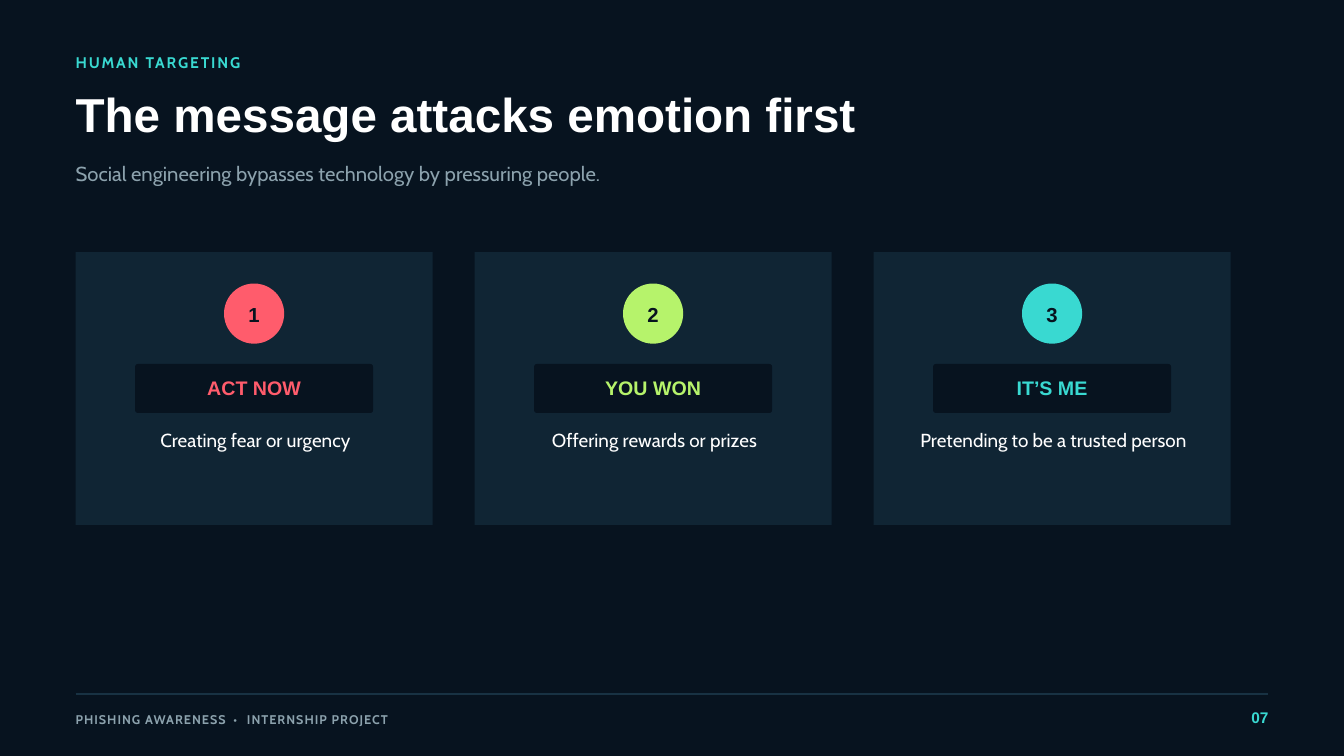
from dataclasses import dataclass

from pptx import Presentation
from pptx import util as u
from pptx.dml.color import RGBColor
from pptx.enum import shapes, text
from pptx.oxml.ns import qn
from lxml import etree


@dataclass(frozen=True)
class Theme:
    night: str = "07131F"
    panel: str = "102534"
    rule: str = "183243"
    white: str = "FFFFFF"
    muted: str = "8CA2AD"
    coral: str = "FF5C6C"
    lime: str = "B6F36B"
    teal: str = "39D9D1"
    heading: str = "Arial"
    body: str = "Cabin"
    title_size: float = 51
    lead_size: float = 21.75
    label_size: float = 21
    note_size: float = 20.25
    kicker_size: float = 16.5
    footer_size: float = 13.5


def write(frame, wording, *, size, color, leading, font, bold=False,
          align=text.PP_ALIGN.LEFT, tracking=0):
    spans = [(wording, tracking)] if isinstance(wording, str) else wording
    para = frame.paragraphs[0]
    para.alignment = align
    para.line_spacing = u.Pt(leading)
    for words, spacing in spans:
        span = para.add_run()
        span.text = words
        span.font.name = font
        span.font.size = u.Pt(size)
        span.font.bold = bold
        span.font.color.rgb = RGBColor.from_string(color)
        if spacing:
            span.font._element.set("spc", str(round(spacing * 100)))


class Painter:
    """Draw styled elements on the current slide, sized in points."""

    def __init__(self, deck, theme):
        self.theme = theme
        self.page = deck.slides.add_slide(deck.slide_layouts[6])
        self.layer = self.page.shapes
        fill = self.page.background.fill
        fill.solid()
        fill.fore_color.rgb = RGBColor.from_string(theme.night)

    def group(self):
        self.layer = self.page.shapes.add_group_shape().shapes

    def label(self, wording, left, top, width, height, **style):
        box = self.layer.add_textbox(*map(u.Pt, (left, top, width, height)))
        frame = box.text_frame
        frame.word_wrap = True
        frame.auto_size = text.MSO_AUTO_SIZE.SHAPE_TO_FIT_TEXT
        frame.margin_left = frame.margin_right = 0
        frame.margin_top = frame.margin_bottom = 0
        write(frame, wording, **style)

    def block(self, kind, left, top, width, height, fill):
        shape = self.layer.add_shape(kind, *map(u.Pt, (left, top, width, height)))
        shape.shadow.inherit = False
        shape.fill.solid()
        shape.fill.fore_color.rgb = RGBColor.from_string(fill)
        shape.line.fill.background()
        return shape

    def caption(self, shape, wording, lift=0, **style):
        frame = shape.text_frame
        frame.word_wrap = True
        frame.vertical_anchor = text.MSO_ANCHOR.MIDDLE
        frame.margin_left = frame.margin_right = frame.margin_top = u.Pt(4.5)
        frame.margin_bottom = u.Pt(4.5 + 2 * lift)
        write(frame, wording, align=text.PP_ALIGN.CENTER, bold=True,
              font=self.theme.heading, **style)

    def rule(self, left, right, top, color, weight):
        line = self.layer.add_connector(
            shapes.MSO_CONNECTOR.STRAIGHT, *map(u.Pt, (left, top, right, top)))
        line.line.color.rgb = RGBColor.from_string(color)
        line.line.width = u.Pt(weight)
        etree.SubElement(line._element.spPr, qn("a:effectLst"))

    def card(self, number, left, top, accent, lure, note):
        theme, kinds = self.theme, shapes.MSO_SHAPE
        width, badge_size, pill_width, pill_height = 382.5, 64.5, 255, 52.5
        middle = left + width / 2
        self.group()
        self.block(kinds.RECTANGLE, left, top, width, 292.5, theme.panel)
        badge = self.block(kinds.OVAL, middle - badge_size / 2, top + 33.75,
                           badge_size, badge_size, accent)
        self.caption(badge, str(number), lift=1.5, size=theme.lead_size,
                     color=theme.night, leading=30.4)
        pill = self.block(kinds.ROUNDED_RECTANGLE, middle - pill_width / 2,
                          top + 120, pill_width, pill_height, theme.night)
        pill.adjustments[0] = 3 / pill_height
        self.caption(pill, lure, size=theme.label_size, color=accent, leading=24.1)
        self.label(note, left + 31.5, top + 185.25, 322.5, 26, size=theme.note_size,
                   color=theme.white, leading=28.4, font=theme.body,
                   align=text.PP_ALIGN.CENTER)


def main():
    deck = Presentation()
    deck.slide_width, deck.slide_height = u.Pt(1440), u.Pt(810)
    theme = Theme()
    painter = Painter(deck, theme)
    margin, right = 81, 1359

    painter.label("HUMAN TARGETING", margin, 54, 390, 21.75, size=theme.kicker_size,
                  color=theme.teal, leading=23.1, font=theme.body, bold=True, tracking=2)
    painter.label("The message attacks emotion first", margin, 99, 1012.5, 55.5,
                  size=theme.title_size, color=theme.white, leading=53.5,
                  font=theme.heading, bold=True)
    painter.label("Social engineering bypasses technology by pressuring people.",
                  margin, 168.75, 825, 29.25, size=theme.lead_size, color=theme.muted,
                  leading=30.4, font=theme.body)

    cards = [
        (theme.coral, "ACT NOW", "Creating fear or urgency"),
        (theme.lime, "YOU WON", "Offering rewards or prizes"),
        (theme.teal, "IT’S ME", "Pretending to be a trusted person"),
    ]
    for index, details in enumerate(cards):
        painter.card(index + 1, margin + 427.5 * index, 270, *details)

    painter.group()
    painter.rule(margin, right, 743.25, theme.rule, 2)
    footer = [("PHISHING AWARENESS", 1.1), (" • ", 3.8), ("INTERNSHIP PROJECT", 1.1)]
    painter.label(footer, margin, 760.5, 570, 17.25, size=theme.footer_size,
                  color=theme.muted, leading=18.9, font=theme.body, bold=True)
    painter.label("07", right - 54, 755.25, 54, 21.75, size=theme.kicker_size,
                  color=theme.teal, leading=23.1, font=theme.heading, bold=True,
                  align=text.PP_ALIGN.RIGHT)
    deck.save("out.pptx")


if __name__ == "__main__":
    main()
